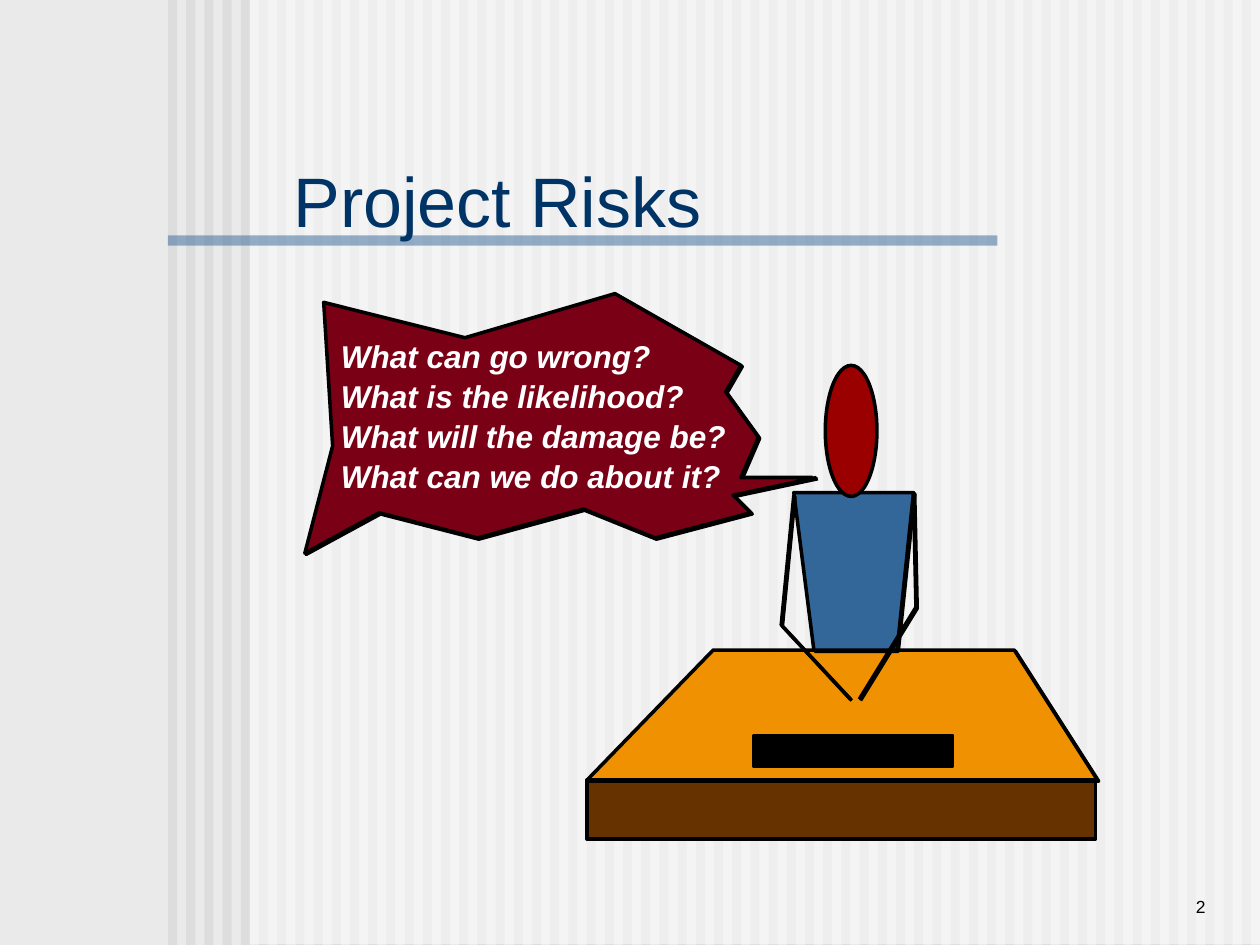
"""Build the Project Risks slide: a speaker at a desk asking four risk questions."""
from dataclasses import dataclass

from lxml.etree import SubElement
from pptx import Presentation
from pptx.dml.color import RGBColor
from pptx.enum.shapes import MSO_SHAPE as Preset
from pptx.enum.text import MSO_ANCHOR as Anchor, PP_ALIGN as Align
from pptx.oxml.ns import qn
from pptx.util import Pt


@dataclass(frozen=True)
class Theme:
    font: str = "Arial"
    background: str = "EAEAEA"
    stripe: str = "DDDDDD"
    white: str = "FFFFFF"
    black: str = "000000"
    blue: str = "336699"
    title: str = "003366"
    balloon: str = "790015"
    desk_front: str = "663300"
    desk_top: str = "EF9100"
    head: str = "9A0000"
    title_size: int = 40
    question_size: int = 18
    number_size: int = 10
    outline: int = 2


theme = Theme()
presentation = Presentation()
presentation.slide_width, presentation.slide_height = Pt(720), Pt(540)
slide = presentation.slides.add_slide(presentation.slide_layouts[6])
slide.background.fill.solid()
slide.background.fill.fore_color.rgb = RGBColor.from_string(theme.background)


def paint(shape, fill=None, outlined=True):
    shape.shadow.inherit = False
    if fill:
        shape.fill.solid()
        shape.fill.fore_color.rgb = RGBColor.from_string(fill)
    else:
        shape.fill.background()
    if outlined:
        shape.line.color.rgb = RGBColor.from_string(theme.black)
        shape.line.width = Pt(theme.outline)
    else:
        shape.line.fill.background()


def add_text(text, box, size, color, anchor=Anchor.TOP, align=Align.LEFT, emphasis=False):
    frame = slide.shapes.add_textbox(*map(Pt, box)).text_frame
    frame.word_wrap = True
    frame.vertical_anchor = anchor
    paragraph = frame.paragraphs[0]
    paragraph.alignment = align
    run = paragraph.add_run()
    run.text = text
    run.font.name = theme.font
    run.font.size = Pt(size)
    run.font.bold = run.font.italic = emphasis
    run.font.color.rgb = RGBColor.from_string(color)


stripe_pitch = 10.4
for index in range(60):
    stripe = slide.shapes.add_shape(
        Preset.RECTANGLE, Pt(96 + index * stripe_pitch), 0, Pt(stripe_pitch / 2), Pt(540))
    paint(stripe, theme.stripe, outlined=False)

for box, color in [((142.6, 0, 577.4, 539.5), theme.white), ((96, 134.5, 474, 5.8), theme.blue)]:
    veil = slide.shapes.add_shape(Preset.RECTANGLE, *map(Pt, box))
    paint(veil, color, outlined=False)
    color_element = veil.fill._xPr.find(qn("a:solidFill"))[0]
    SubElement(color_element, qn("a:alpha")).set("val", "50000")

add_text("2", (594, 491.8, 102, 36), theme.number_size, theme.black, Anchor.BOTTOM, Align.RIGHT)
add_text("Project Risks", (160.6, 102.2, 421.2, 23.8), theme.title_size, theme.title, Anchor.MIDDLE)

balloon = [
    (466.6, 272.9), (419, 283), (429.1, 293), (374.4, 307.4), (333.4, 290.9), (272.9, 307.4),
    (216.7, 293), (174.2, 316.1), (190.1, 254.9), (185, 172.8), (265.7, 193), (351.4, 167.8),
    (423.4, 208.8), (414.7, 223.9), (433.4, 249.8), (423.4, 272.9), (464.4, 272.9)]
desk_top = [(335.5, 445.7), (407.5, 371.5), (579.6, 371.5), (627.1, 445.7)]
torso = [(465.1, 371.5), (453.6, 281.5), (522, 281.5), (512.6, 371.5)]
left_arm = [(453.6, 283), (446.4, 357.1), (486, 399.6)]
right_arm = [(522, 281.5), (523.4, 347), (491, 399.6)]
desk_front = (335.5, 445.7, 290.5, 33.8)
head = (471.6, 208.8, 29.5, 74.9)
book = (430.6, 420.5, 113.8, 17.3)

drawing = [
    (balloon, theme.balloon, False),
    (desk_front, theme.desk_front, Preset.RECTANGLE),
    (desk_top, theme.desk_top, True),
    (torso, theme.blue, True),
    (left_arm, None, False),
    (right_arm, None, False),
    (head, theme.head, Preset.OVAL),
    (book, theme.black, Preset.RECTANGLE)]
for geometry, fill, kind in drawing:
    if isinstance(geometry, tuple):
        paint(slide.shapes.add_shape(kind, *map(Pt, geometry)), fill)
        continue
    for offset, layer_fill in [(0.72, None), (0, fill)]:
        points = [(Pt(x + offset), Pt(y + offset)) for x, y in geometry]
        builder = slide.shapes.build_freeform(*points[0])
        builder.add_line_segments(points[1:], close=kind)
        paint(builder.convert_to_shape(), layer_fill)

questions = [
    "What can go wrong?",
    "What is the likelihood?",
    "What will the damage be?",
    "What can we do about it?"]
for index, question in enumerate(questions):
    add_text(question, (187.7, 189 + index * 22.8, 250, 28.8), theme.question_size,
             theme.white, emphasis=True)

presentation.save("out.pptx")
